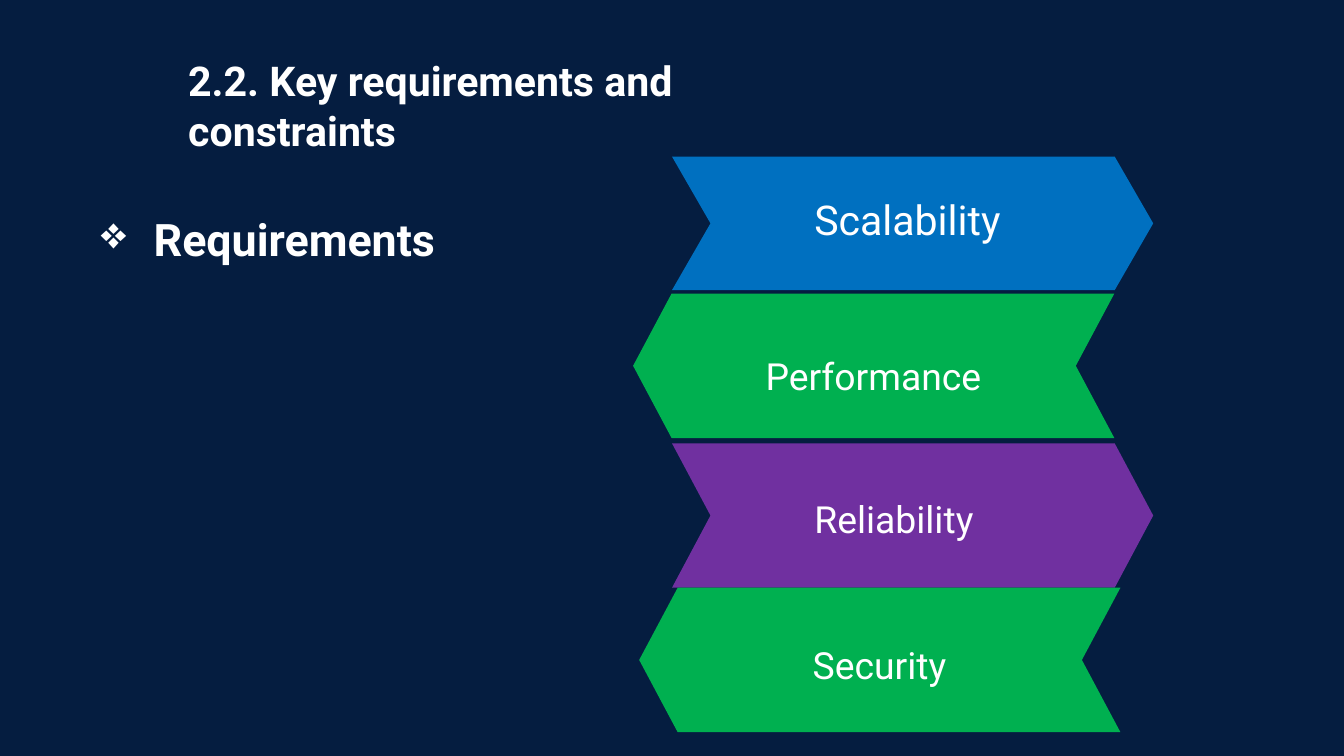
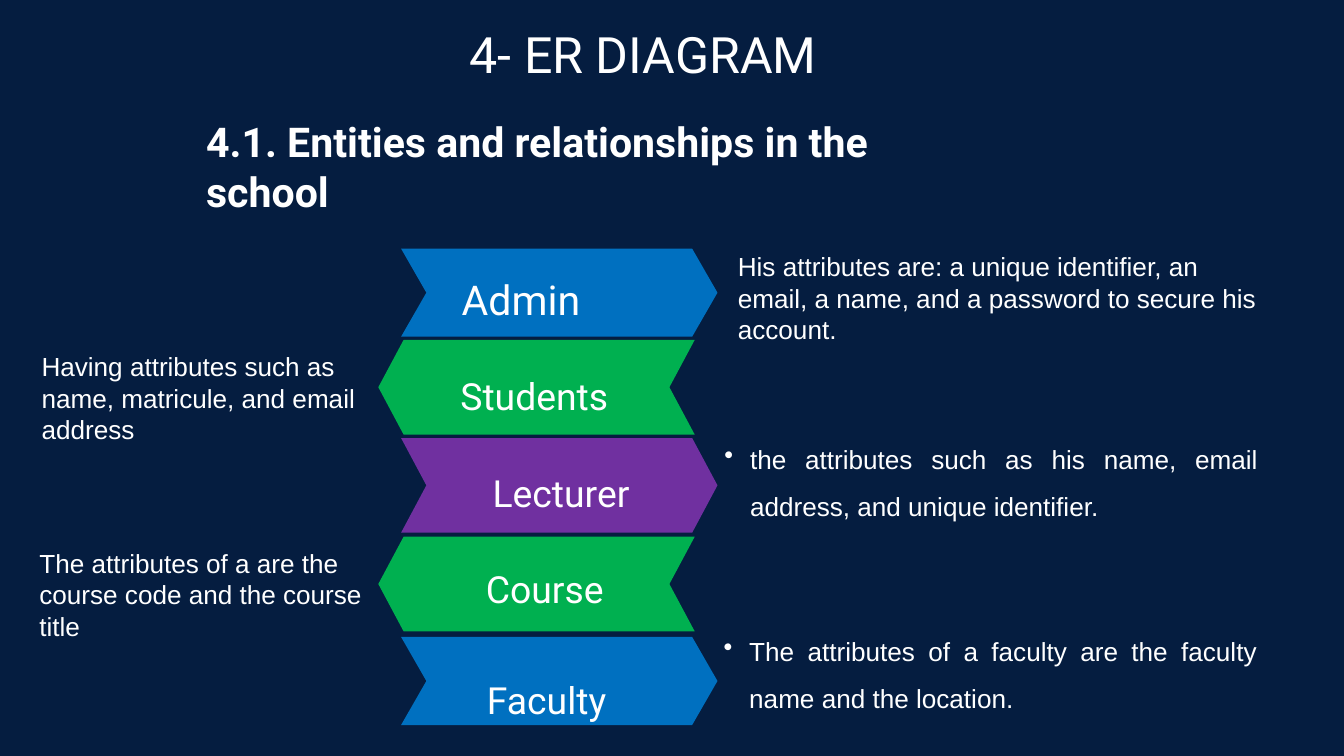
"""Build two dark slides that list requirements and school entities on arrow bands."""
from dataclasses import dataclass
from typing import Optional, Union

import pptx
import pptx.dml.color
import pptx.enum.text
import pptx.oxml
import pptx.oxml.ns
import pptx.presentation
import pptx.shapes.autoshape
import pptx.slide
import pptx.text.text
import pptx.util

Cm = pptx.util.Cm
Pt = pptx.util.Pt
ALIGN = pptx.enum.text.PP_ALIGN

NAVY, WHITE = "051D40", "FFFFFF"
BLUE, GREEN, PURPLE = "0070C0", "00B050", "7030A0"
TITLE_ONLY = 5
NOTCH = 0.08


@dataclass(frozen=True)
class Style:
    size: float
    font: str = "Roboto"
    bold: bool = False
    align: ALIGN = ALIGN.LEFT
    spacing: Optional[Union[float, pptx.util.Length]] = None
    inset: bool = True
    bullet: str = ""
    indent: float = 0


@dataclass(frozen=True)
class Box:
    left: float
    top: float
    width: float
    height: float


@dataclass(frozen=True)
class Text:
    words: str
    box: Box
    style: Style


@dataclass(frozen=True)
class Band:
    box: Box
    color: str
    label: Text
    points_left: bool = False


HEADING = Style(44, bold=True)
TOPIC = Style(48, bold=True, bullet="❖", indent=2)
CHAPTER = Style(53.7, align=ALIGN.CENTER, spacing=Pt(64.5), inset=False)
FIRST_LABEL = Style(44, inset=False)
LEFT_LABEL = Style(40, spacing=1.5, inset=False)
MID_LABEL = Style(40, align=ALIGN.CENTER, spacing=1.5, inset=False)
NOTE = Style(28, font="Arial")
BULLET_NOTE = Style(28, font="Arial", align=ALIGN.JUSTIFY, spacing=1.5,
                    bullet="•", indent=0.97)

REQUIREMENTS = [
    Band(Box(25.4, 5.92, 18.19, 5.05), BLUE,
         Text("Scalability", Box(30.78, 7.37, 14.73, 1.88), FIRST_LABEL)),
    Band(Box(23.93, 11.1, 18.19, 5.46), GREEN,
         Text("Performance", Box(23.67, 12.52, 18.69, 2.31), MID_LABEL), True),
    Band(Box(25.4, 16.76, 18.19, 5.46), PURPLE,
         Text("Reliability", Box(30.78, 17.91, 15.85, 2.31), LEFT_LABEL)),
    Band(Box(24.16, 22.22, 18.19, 5.46), GREEN,
         Text("Security", Box(24.89, 23.42, 16.71, 2.29), MID_LABEL), True),
]

ENTITIES = [
    Band(Box(15.16, 9.4, 11.96, 3.33), BLUE,
         Text("Admin", Box(17.45, 10.39, 9.7, 1.88), FIRST_LABEL)),
    Band(Box(14.3, 12.85, 11.96, 3.58), GREEN,
         Text("Students", Box(14.05, 13.28, 12.29, 2.31), MID_LABEL), True),
    Band(Box(15.16, 16.56, 11.96, 3.58), PURPLE,
         Text("Lecturer", Box(18.62, 16.92, 10.44, 2.31), LEFT_LABEL)),
    Band(Box(14.3, 20.29, 11.96, 3.58), GREEN,
         Text("Course", Box(15.09, 20.57, 11, 2.29), MID_LABEL), True),
    Band(Box(15.16, 24.08, 11.96, 3.33), BLUE,
         Text("Faculty", Box(15.16, 24.77, 11, 2.29), MID_LABEL)),
]

ENTITY_TEXTS = [
    Text("4.1. Entities and relationships in the school",
         Box(7.54, 4.29, 29.67, 4.01), HEADING),
    Text("His attributes are: a unique identifier, an email, a name, "
         "and a password to secure his account.",
         Box(27.64, 9.35, 20.65, 5.05), NOTE),
    Text("Having attributes such as name, matricule, and email address",
         Box(1.32, 13.13, 13.84, 3.84), NOTE),
    Text("the attributes such as his name, email address, and unique identifier.",
         Box(27.13, 16.03, 20.65, 3.63), BULLET_NOTE),
    Text("The attributes of a are the course code and the course title",
         Box(1.24, 20.57, 13.84, 5.05), NOTE),
    Text("The attributes of a faculty are the faculty name and the location.",
         Box(27.1, 23.29, 20.65, 3.63), BULLET_NOTE),
]


def rgb(color: str) -> pptx.dml.color.RGBColor:
    return pptx.dml.color.RGBColor.from_string(color)


def add_bullet(p: pptx.text.text._Paragraph, style: Style) -> None:
    pPr = p._p.get_or_add_pPr()
    pPr.set("marL", str(Cm(style.indent)))
    pPr.set("indent", str(-Cm(style.indent)))
    bullet = pptx.oxml.parse_xml(
        f'<a:buChar {pptx.oxml.ns.nsdecls("a")} char="{style.bullet}"/>')
    pPr.append(bullet)


def write(tf: pptx.text.text.TextFrame, text: Text) -> None:
    style = text.style
    tf.word_wrap = True
    tf.auto_size = pptx.enum.text.MSO_AUTO_SIZE.NONE
    tf.vertical_anchor = pptx.enum.text.MSO_ANCHOR.TOP
    if not style.inset:
        tf.margin_left = tf.margin_right = tf.margin_top = tf.margin_bottom = 0
    p = tf.paragraphs[0]
    p.alignment = style.align
    if style.spacing:
        p.line_spacing = style.spacing
    if style.bullet:
        add_bullet(p, style)
    r = p.add_run()
    r.text = text.words
    r.font.name = style.font
    r.font.size = Pt(style.size)
    r.font.bold = style.bold
    r.font.color.rgb = rgb(WHITE)


def add_text(slide: pptx.slide.Slide, text: Text) -> None:
    b = text.box
    sp = slide.shapes.add_textbox(Cm(b.left), Cm(b.top), Cm(b.width), Cm(b.height))
    write(sp.text_frame, text)


def add_band(slide: pptx.slide.Slide, band: Band) -> None:
    b = band.box
    notch = b.width * NOTCH
    outline = [(0, 0), (b.width - notch, 0), (b.width, b.height / 2),
               (b.width - notch, b.height), (0, b.height), (notch, b.height / 2)]
    if band.points_left:
        outline = [(b.width - x, y) for x, y in outline]
    points = [(Cm(b.left + x), Cm(b.top + y)) for x, y in outline]
    builder = slide.shapes.build_freeform(*points[0])
    builder.add_line_segments(points[1:], close=True)
    sp = builder.convert_to_shape()
    sp.shadow.inherit = False
    sp.fill.solid()
    sp.fill.fore_color.rgb = rgb(band.color)
    sp.line.fill.background()
    add_text(slide, band.label)


def add_slide(prs: pptx.presentation.Presentation, title: Text,
              bands: list[Band], texts: list[Text]) -> None:
    slide = prs.slides.add_slide(prs.slide_layouts[TITLE_ONLY])
    sp, b = slide.shapes.title, title.box
    sp.left, sp.top, sp.width, sp.height = Cm(b.left), Cm(b.top), Cm(b.width), Cm(b.height)
    write(sp.text_frame, title)
    for band in bands:
        add_band(slide, band)
    for text in texts:
        add_text(slide, text)


def main() -> None:
    prs = pptx.Presentation()
    prs.slide_width, prs.slide_height = Cm(50.8), Cm(28.58)
    background = prs.slide_master.background.fill
    background.solid()
    background.fore_color.rgb = rgb(NAVY)
    add_slide(prs,
              Text("2.2. Key requirements and constraints",
                   Box(6.86, 1.98, 23.9, 5.89), HEADING),
              REQUIREMENTS,
              [Text("Requirements", Box(3.56, 7.87, 13.34, 2.31), TOPIC)])
    add_slide(prs,
              Text("4- ER DIAGRAM", Box(12.93, 0.89, 22.76, 2.26), CHAPTER),
              ENTITIES, ENTITY_TEXTS)
    prs.save("out.pptx")


if __name__ == "__main__":
    main()
